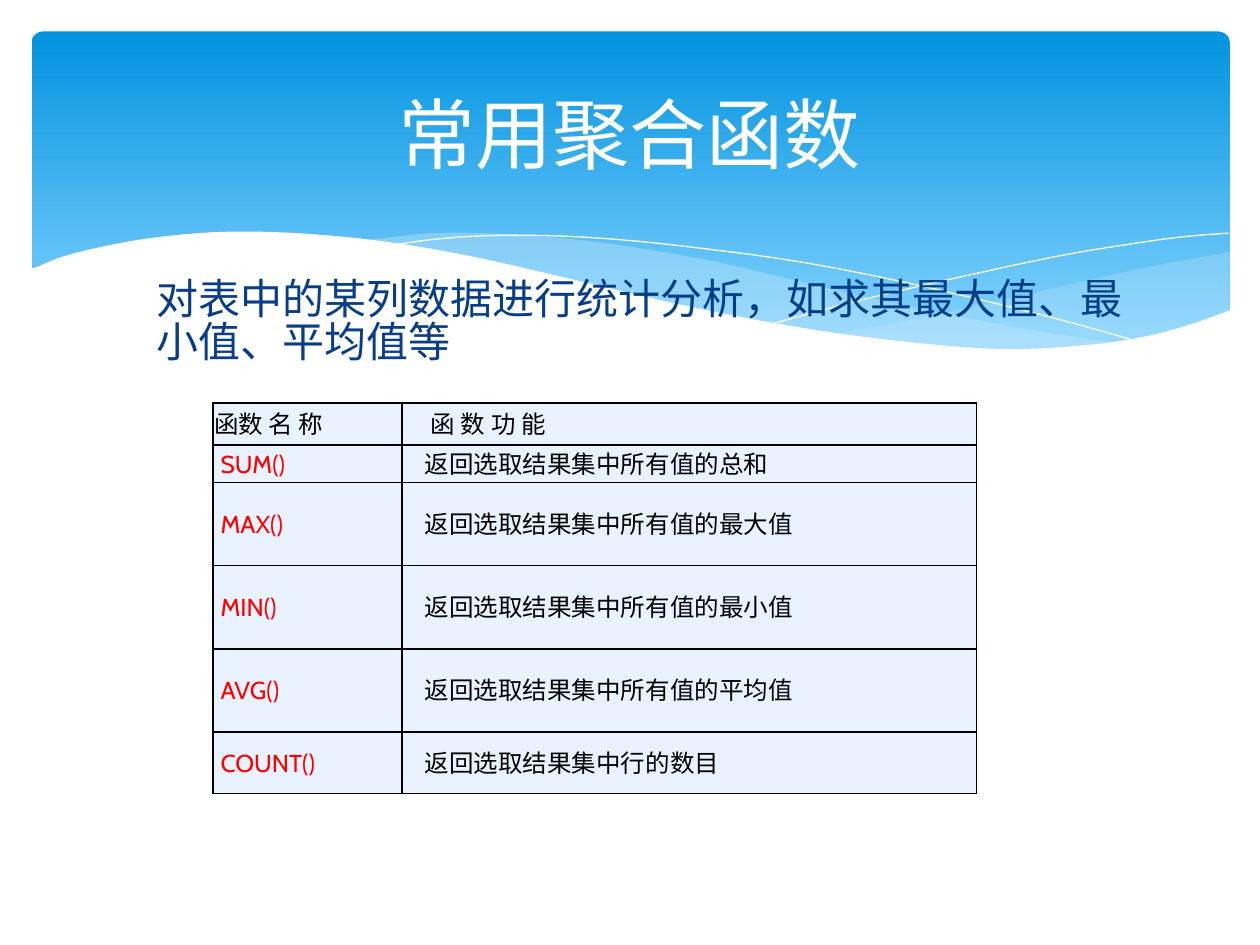
from dataclasses import dataclass

from lxml.etree import SubElement
from pptx import Presentation
from pptx.dml.color import RGBColor
from pptx.enum.shapes import MSO_SHAPE as Preset
from pptx.enum.text import MSO_ANCHOR as Anchor, PP_ALIGN as Align
from pptx.oxml.ns import qn
from pptx.util import Pt

SCALE = 9144  # EMU in one px, 100 px to the inch


@dataclass(frozen=True)
class Theme:
    sky_top: str = "0293E0"
    sky_bottom: str = "83D3FE"
    mist: str = "C6E7FC"
    white: str = "FFFFFF"
    navy: str = "073E87"
    black: str = "000000"
    red: str = "FF0000"
    cell: str = "E8F3FF"
    font: str = "Cabin"
    body_font: str = "Noto Sans CJK SC"
    title_size: int = 44
    body_size: int = 24
    table_size: int = 14


THEME = Theme()

# Wave outlines, relative to the top left of the banner
RIGHT_VEIL = [
    [(951, 175), (896, 185), (836, 198), (754, 217), (704, 228), (636, 240)],
    [(636, 240), (694, 247), (756, 252), (810, 252), (856, 249), (896, 242), (924, 234), (951, 222)],
]
LEFT_VEIL = [
    [(868, 248), (812, 240), (750, 229), (681, 215), (604, 197), (544, 183), (489, 173), (440, 166),
     (395, 162), (355, 160), (319, 160), (288, 163), (261, 166)],
    [(261, 166), (317, 174), (379, 186), (424, 197), (505, 215), (576, 230), (640, 241), (697, 249),
     (748, 252), (793, 253), (833, 252), (868, 248)],
]
FALLING_LINE = [
    [(284, 170), (319, 165), (362, 162), (408, 162), (464, 165), (531, 172), (611, 183), (702, 201),
     (806, 226), (882, 247)],
]
RISING_LINE = [
    [(588, 232), (647, 216), (723, 198), (811, 179), (870, 169), (913, 163), (950, 160)],
]
PAPER = [
    [(952, 221), (915, 234), (874, 244), (825, 250), (768, 252), (701, 247), (623, 237), (530, 220),
     (422, 195), (366, 182), (315, 172), (267, 165), (225, 161), (186, 159), (152, 159), (121, 161),
     (94, 164), (70, 168), (42, 174), (21, 180), (4, 187), (-2, 188)],
    [(-2, 188), (-2, 304)],
    [(-2, 304), (952, 304)],
]


def px(length):
    return int(length * SCALE)


def color(code):
    return RGBColor.from_string(code)


def smooth(knots, steps=4):
    """Points on a Catmull-Rom curve through the knots."""
    padded = [knots[0], *knots, knots[-1]]
    points = [knots[0]]
    for a, b, c, d in zip(padded, padded[1:], padded[2:], padded[3:]):
        for step in range(1, steps + 1):
            t = step / steps
            points.append(tuple(
                (2 * q + (r - p) * t + (2 * p - 5 * q + 4 * r - s) * t ** 2
                 + (3 * q - p - 3 * r + s) * t ** 3) / 2
                for p, q, r, s in zip(a, b, c, d)))
    return points


def add_wave(page, box, curves, fill=None, opacity=100):
    """A filled wave, or a thin white line when no fill is given."""
    left, top = box[:2]
    points = [(px(left + x), px(top + y)) for curve in curves for x, y in smooth(curve)]
    builder = page.shapes.build_freeform(*points[0])
    builder.add_line_segments(points[1:], close=fill is not None)
    wave = builder.convert_to_shape()
    wave.shadow.inherit = False
    if fill is None:
        wave.fill.background()
        wave.line.color.rgb = color(THEME.white)
        wave.line.width = Pt(0)
        return
    wave.line.fill.background()
    wave.fill.solid()
    wave.fill.fore_color.rgb = color(fill)
    if opacity < 100:
        tint = wave.fill._xPr.find(f".//{qn('a:srgbClr')}")
        SubElement(tint, qn("a:alpha"), val=str(opacity * 1000))


def add_banner(page, box):
    sky = page.shapes.add_shape(Preset.ROUNDED_RECTANGLE, *map(px, box))
    sky.adjustments[0] = 0.034
    sky.shadow.inherit = False
    sky.line.fill.background()
    sky.fill.gradient()
    sky.fill.gradient_angle = 270
    stops = sky.fill.gradient_stops
    for stop, code, position in zip(stops, (THEME.sky_top, THEME.sky_bottom), (0, 0.9)):
        stop.color.rgb = color(code)
        stop.position = position
    add_wave(page, box, RIGHT_VEIL, THEME.mist, 29)
    add_wave(page, box, LEFT_VEIL, THEME.mist, 40)
    add_wave(page, box, FALLING_LINE)
    add_wave(page, box, RISING_LINE)
    add_wave(page, box, PAPER, THEME.white)


def add_span(para, text, size, code, font):
    span = para.add_run()
    span.text = text
    span.font.size = Pt(size)
    span.font.color.rgb = color(code)
    span.font.name = font
    SubElement(span.font._element, qn("a:ea"), typeface=font)


def add_text(page, box, anchor):
    """An empty wrapped text box; returns its first paragraph."""
    frame = page.shapes.add_textbox(*map(px, box)).text_frame
    frame.word_wrap = True
    frame.vertical_anchor = anchor
    return frame.paragraphs[0]


def add_title(page, box, text):
    para = add_text(page, box, Anchor.MIDDLE)
    para.alignment = Align.CENTER
    add_span(para, text, THEME.title_size, THEME.white, THEME.font)


def add_body(page, box, text):
    para = add_text(page, box, Anchor.TOP)
    para.line_spacing = 0.84
    add_span(para, text, THEME.body_size, THEME.navy, THEME.body_font)


def add_borders(cell):
    properties = cell._tc.get_or_add_tcPr()
    for index, side in enumerate(("lnL", "lnR", "lnT", "lnB")):
        border = SubElement(properties, qn(f"a:{side}"), w=str(Pt(1)))
        properties.insert(index, border)
        SubElement(SubElement(border, qn("a:solidFill")), qn("a:srgbClr"), val=THEME.black)


def fill_cell(cell, text, code, indent):
    cell.fill.solid()
    cell.fill.fore_color.rgb = color(THEME.cell)
    cell.vertical_anchor = Anchor.MIDDLE
    cell.margin_left = cell.margin_right = cell.margin_top = px(1)
    cell.margin_bottom = 0
    para = cell.text_frame.paragraphs[0]
    para._p.get_or_add_pPr().set("marL", str(px(indent)))
    add_span(para, text, THEME.table_size, code, THEME.font)
    add_borders(cell)


def add_function_table(page, box, widths, heights, rows):
    table = page.shapes.add_table(len(rows), len(widths), *map(px, box)).table
    for column, width in zip(table.columns, widths):
        column.width = px(width)
    for index, (height, texts) in enumerate(zip(heights, rows)):
        table.rows[index].height = px(height)
        header = index == 0
        codes = (THEME.black if header else THEME.red, THEME.black)
        indents = (0, 22) if header else (5, 17)
        for cell, text, code, indent in zip(table.rows[index].cells, texts, codes, indents):
            fill_cell(cell, text, code, indent)


def main():
    deck = Presentation()
    deck.slide_width, deck.slide_height = px(1000), px(750)
    page = deck.slides.add_slide(deck.slide_layouts[6])
    add_banner(page, (25, 25, 951, 270))
    add_body(page, (114, 218, 795, 480), "对表中的某列数据进行统计分析，如求其最大值、最小值、平均值等")
    add_title(page, (50, 37, 900, 137), "常用聚合函数")
    add_function_table(page, (169, 320, 606, 308), (150, 456), (33, 30, 66, 66, 66, 49), [
        ("函数 名 称", "函 数 功 能"),
        ("SUM()", "返回选取结果集中所有值的总和"),
        ("MAX()", "返回选取结果集中所有值的最大值"),
        ("MIN()", "返回选取结果集中所有值的最小值"),
        ("AVG()", "返回选取结果集中所有值的平均值"),
        ("COUNT()", "返回选取结果集中行的数目"),
    ])
    deck.save("out.pptx")


if __name__ == "__main__":
    main()
